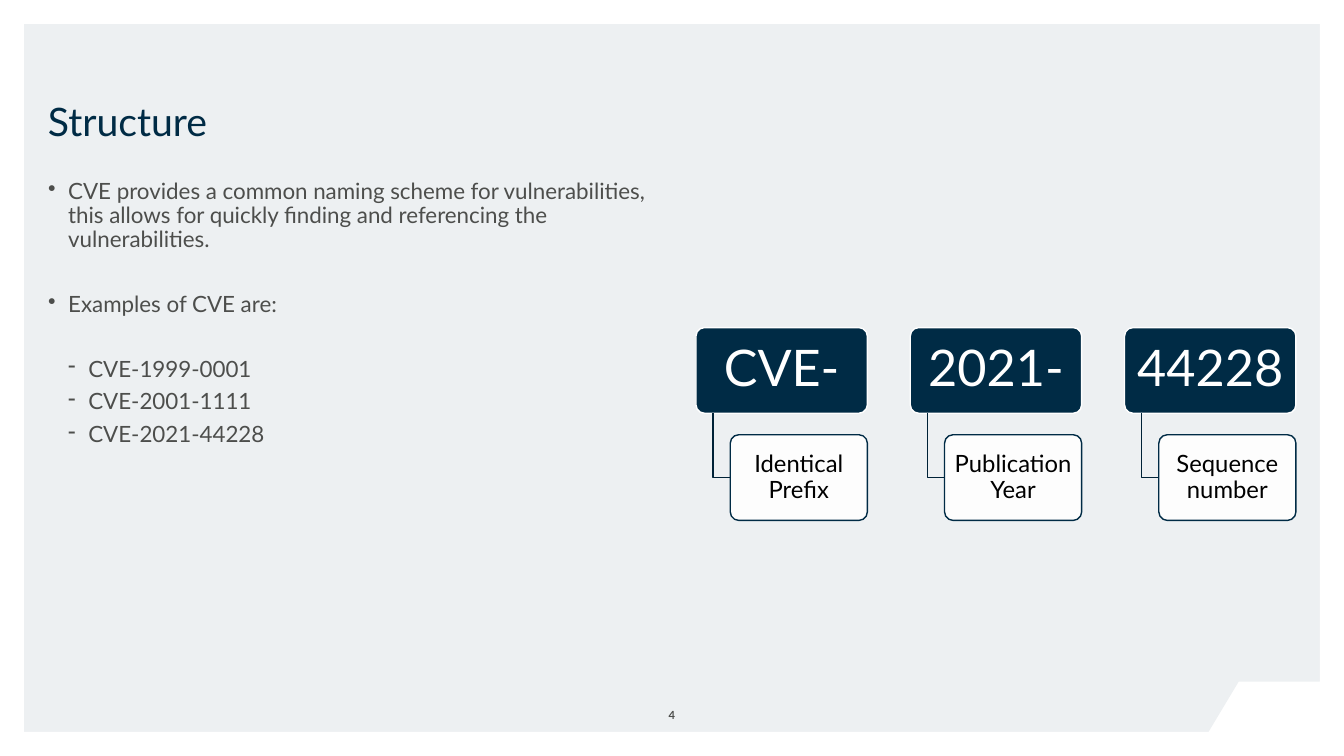
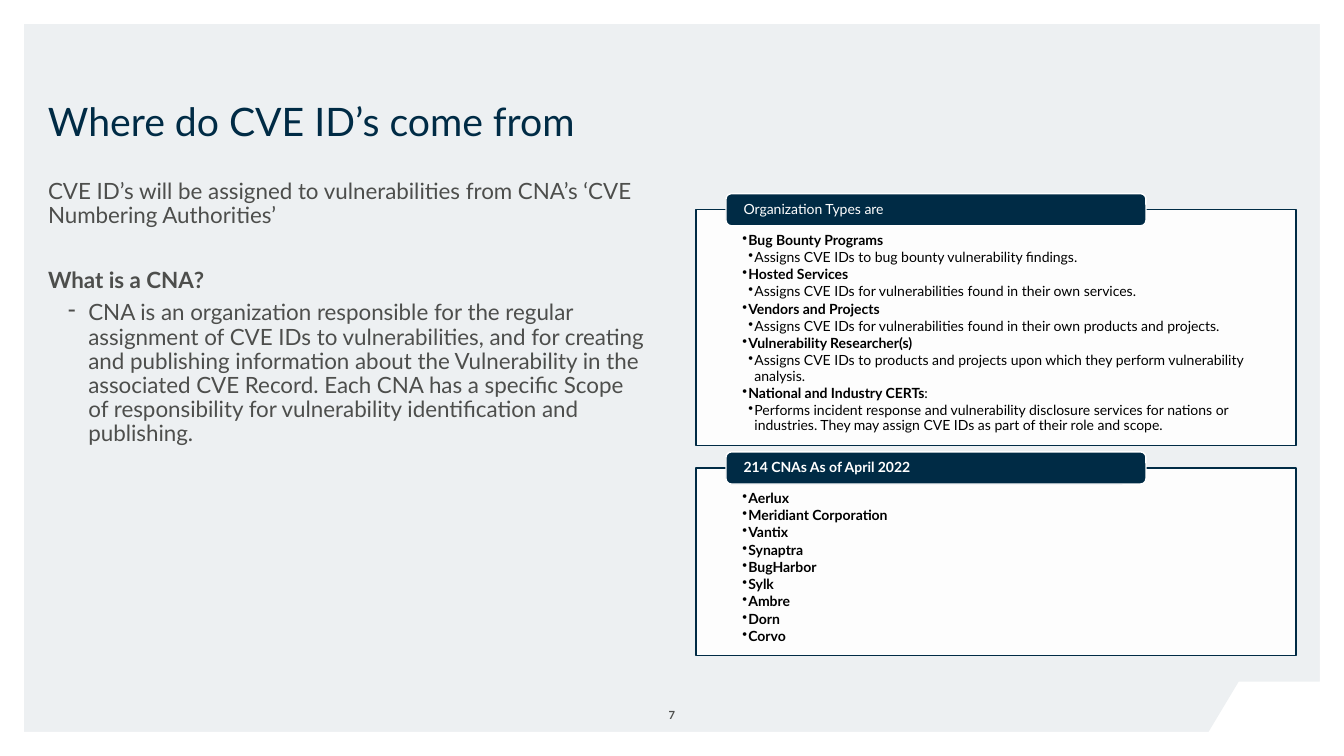
from dataclasses import dataclass
from lxml.etree import SubElement
from pptx import Presentation
from pptx.dml.color import RGBColor
from pptx.enum.shapes import MSO_SHAPE
from pptx.enum.text import MSO_ANCHOR, PP_ALIGN
from pptx.oxml.ns import qn
from pptx.util import Inches, Pt


@dataclass(frozen=True)
class Theme:
    font: str = "Lato"
    pale: str = "EDF0F2"
    white: str = "FFFFFF"
    navy: str = "002B45"
    deep: str = "002237"
    gray: str = "4D4E4C"
    black: str = "000000"
    title: int = 28
    body: int = 16
    code: int = 36
    leaf: int = 17
    list: int = 10
    page: int = 8


@dataclass(frozen=True)
class Style:
    level: int = 0
    left: float = 0
    hang: float = 0
    mark: str = ""
    bold: bool = False
    before: float = 0
    after: float = 0


theme = Theme()
plain = Style()
strong = Style(bold=True)
lead = Style(before=3, after=3)
ask = Style(bold=True, before=26, after=3)
point = Style(0, 0.2, 0.2, "•", False, 3, 3)
later = Style(0, 0.2, 0.2, "•", False, 26, 3)
dash = Style(1, 0.4, 0.2, "-", False, 3, 3)
first = Style(1, 0.4, 0.2, "-", False, 26, 3)
name = Style(1, 0.06, 0.06, "•", True, 0, 1.5)
note = Style(2, 0.12, 0.06, "•", False, 0, 1.5)

deck = Presentation()
deck.slide_width = Inches(40 / 3)
deck.slide_height = Inches(7.5)
COLS, ROWS = 56, 31.5
unit = deck.slide_width / COLS
LEFT, RIGHT, WIDE = 2, 29, 25


def place(slide, kind, x, y, w, h, fill=None, line=None, alpha=None):
    box = [round(n * unit) for n in (x, y, w, h)]
    if kind is None:
        return slide.shapes.add_textbox(*box)
    shape = slide.shapes.add_shape(kind, *box)
    shape.shadow.inherit = False
    shape.fill.solid()
    shape.fill.fore_color.rgb = RGBColor.from_string(fill)
    shape.line.color.rgb = RGBColor.from_string(line)
    shape.line.width = Pt(1)
    if alpha:
        tint = shape._element.spPr.find(qn("a:solidFill"))[0]
        SubElement(tint, qn("a:alpha")).set("val", str(alpha * 1000))
    return shape


def write(shape, rows, size, color, pad=(0, 0), anchor=MSO_ANCHOR.TOP,
          align=PP_ALIGN.LEFT, space=0.9):
    frame = shape.text_frame
    frame.word_wrap = True
    frame.vertical_anchor = anchor
    frame.margin_left = frame.margin_right = Inches(pad[0])
    frame.margin_top, frame.margin_bottom = Inches(pad[1]), 0
    for i, (text, style) in enumerate(rows):
        para = frame.paragraphs[0] if i == 0 else frame.add_paragraph()
        para.level = style.level
        para.alignment = align
        para.line_spacing = space
        para.space_before = Pt(style.before)
        para.space_after = Pt(style.after)
        prop = para._p.get_or_add_pPr()
        prop.set("marL", str(Inches(style.left)))
        prop.set("indent", str(-Inches(style.hang)))
        if style.mark:
            SubElement(prop, qn("a:buChar")).set("char", style.mark)
        for j, words in enumerate(text.split("|")):
            run = para.add_run()
            run.text = words
            run.font.name = theme.font
            run.font.size = Pt(size)
            run.font.bold = style.bold and j == 0
            run.font.color.rgb = RGBColor.from_string(color)


inner = [(1, 1), (1, 30.5), (50.36, 30.5), (51.62, 28.4), (55, 28.4), (55, 1)]
outer = [(0, 0), (COLS, 0), (COLS, ROWS), (0, ROWS)]

pages = [
    ("Structure", "4", [
        ("CVE provides a common naming scheme for vulnerabilities, this allows "
         "for quickly finding and referencing the vulnerabilities.", point),
        ("Examples of CVE are:", later),
        ("CVE-1999-0001", first),
        ("CVE-2001-1111", dash),
        ("CVE-2021-44228", dash),
    ]),
    ("Where do CVE ID’s come from", "7", [
        ("CVE ID’s will be assigned to vulnerabilities from CNA’s "
         "‘CVE Numbering Authorities’", lead),
        ("What is a CNA?", ask),
        ("CNA is an organization responsible for the regular assignment of CVE "
         "IDs to vulnerabilities, and for creating and publishing information "
         "about the Vulnerability in the associated CVE Record. Each CNA has a "
         "specific Scope of responsibility for vulnerability identification "
         "and publishing.", dash),
    ]),
]

slides = []
for title, page, body in pages:
    slide = deck.slides.add_slide(deck.slide_layouts[6])
    slides.append(slide)
    slide.background.fill.solid()
    slide.background.fill.fore_color.rgb = RGBColor.from_string(theme.pale)
    pen = slide.shapes.build_freeform(unit, unit)
    pen.add_line_segments([(x * unit, y * unit) for x, y in inner[1:]])
    pen.move_to(0, 0)
    pen.add_line_segments([(x * unit, y * unit) for x, y in outer[1:]])
    edge = pen.convert_to_shape()
    edge.shadow.inherit = False
    edge.fill.solid()
    edge.fill.fore_color.rgb = RGBColor.from_string(theme.white)
    edge.line.fill.background()
    write(place(slide, None, LEFT, 2.5, 52, 3.55), [(title, plain)],
          theme.title, theme.navy, anchor=MSO_ANCHOR.BOTTOM)
    write(place(slide, None, LEFT, 7.5, WIDE, 20.3), body,
          theme.body, theme.gray)
    write(place(slide, None, 25.75, 29.53, 4.5, 0.55), [(page, strong)],
          theme.page, theme.gray, anchor=MSO_ANCHOR.MIDDLE,
          align=PP_ALIGN.CENTER, space=1)

slide = slides[0]
codes = [("CVE-", "Identical Prefix"), ("2021-", "Publication Year"),
         ("44228", "Sequence number")]
wide = WIDE / 3.5
high = wide / 2
top = 13.65
for i, (code, label) in enumerate(codes):
    x = RIGHT + i * wide * 1.25
    low = top + high * 1.25
    head = place(slide, MSO_SHAPE.ROUNDED_RECTANGLE, x, top, wide, high,
                 theme.navy, theme.white)
    stem = (x + wide * 0.1) * unit
    mid = (low + high / 2) * unit
    pen = slide.shapes.build_freeform(stem, (top + high) * unit)
    pen.add_line_segments([(stem, mid), ((x + wide * 0.2) * unit, mid)],
                          close=False)
    link = pen.convert_to_shape()
    link.shadow.inherit = False
    link.fill.background()
    link.line.color.rgb = RGBColor.from_string(theme.deep)
    link.line.width = Pt(1)
    leaf = place(slide, MSO_SHAPE.ROUNDED_RECTANGLE, x + wide * 0.2, low,
                 wide * 0.8, high, theme.white, theme.navy, 90)
    for shape, text, size, color in ((head, code, theme.code, theme.white),
                                     (leaf, label, theme.leaf, theme.black)):
        shape.adjustments[0] = 0.1
        write(shape, [(text, plain)], size, color, (0.04, 0),
              MSO_ANCHOR.MIDDLE, PP_ALIGN.CENTER)

slide = slides[1]
kinds = [
    ("Bug Bounty Programs", name),
    ("Assigns CVE IDs to bug bounty vulnerability findings.", note),
    ("Hosted Services", name),
    ("Assigns CVE IDs for vulnerabilities found in their own services.", note),
    ("Vendors and Projects", name),
    ("Assigns CVE IDs for vulnerabilities found in their own products and "
     "projects.", note),
    ("Vulnerability Researcher(s)", name),
    ("Assigns CVE IDs to products and projects upon which they perform "
     "vulnerability analysis.", note),
    ("National and Industry CERTs|:", name),
    ("Performs incident response and vulnerability disclosure services for "
     "nations or industries. They may assign CVE IDs as part of their role "
     "and scope.", note),
]
firms = ["Aerlux", "Meridiant Corporation", "Vantix", "Synaptra", "BugHarbor",
         "Sylk", "Ambre", "Dorn", "Corvo"]
panels = [
    (8.74, 9.83, "Organization Types are", plain, kinds),
    (19.5, 7.81, "214 CNAs As of April 2022", strong,
     [(firm, name) for firm in firms]),
]
tab = 1.34
for top, high, label, style, rows in panels:
    panel = place(slide, MSO_SHAPE.RECTANGLE, RIGHT, top, WIDE, high,
                  theme.white, theme.navy, 90)
    write(panel, rows, theme.list, theme.black, (0.46, 0.23))
    head = place(slide, MSO_SHAPE.ROUNDED_RECTANGLE, RIGHT + WIDE * 0.05,
                 top - tab / 2, WIDE * 0.7, tab, theme.navy, theme.white)
    write(head, [(label, style)], theme.list, theme.white, (0.16, 0),
          MSO_ANCHOR.MIDDLE)

deck.save("out.pptx")
